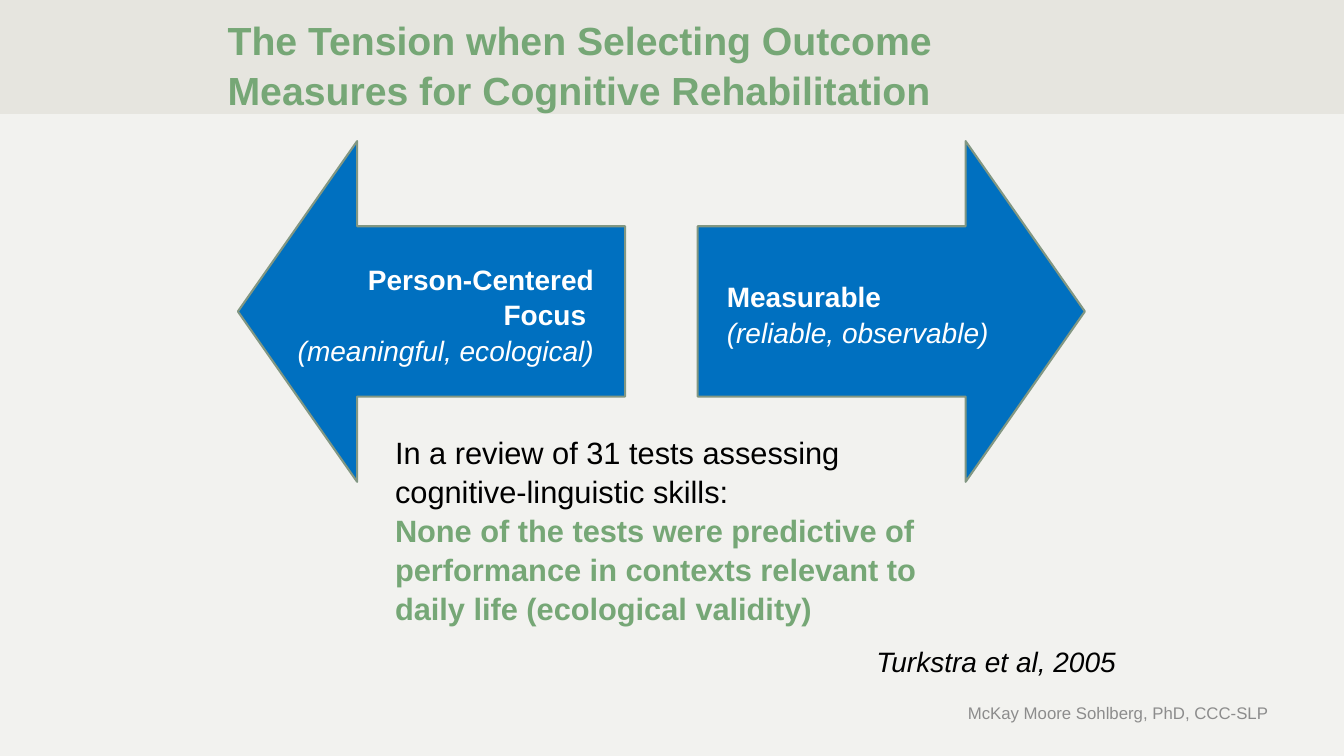
"""Build the slide on the tension between outcome measures in cognitive rehabilitation."""
from pptx import Presentation
from pptx.dml.color import RGBColor
from pptx.enum import shapes, text
from pptx.util import Inches, Pt

PAPER = RGBColor(0xF2, 0xF2, 0xEF)
BAND = RGBColor(0xE6, 0xE5, 0xDF)
GREEN = RGBColor(0x76, 0xA7, 0x76)
BLUE = RGBColor(0x00, 0x70, 0xC0)
EDGE = RGBColor(0x82, 0x97, 0x82)
GRAY = RGBColor(0x8C, 0x8C, 0x8C)
WHITE = RGBColor(0xFF, 0xFF, 0xFF)
BLACK = RGBColor(0x00, 0x00, 0x00)

LEFT, CENTER, RIGHT = text.PP_ALIGN.LEFT, text.PP_ALIGN.CENTER, text.PP_ALIGN.RIGHT
TOP, MIDDLE, BOTTOM = text.MSO_ANCHOR.TOP, text.MSO_ANCHOR.MIDDLE, text.MSO_ANCHOR.BOTTOM

SLIDE_W, SLIDE_H, BAND_H = 13.33, 7.5, 1.13
ARROW_TOP, ARROW_W, ARROW_H = 1.4, 3.84, 3.38
ARROWS = [
    (shapes.MSO_SHAPE.LEFT_ARROW, 2.36),
    (shapes.MSO_SHAPE.RIGHT_ARROW, 6.92),
]

# box, alignment, anchor, size, lines of (words, colour, bold, italic)
TEXTS = [
    ((7.82, 6.84, 4.86, 0.45), RIGHT, MIDDLE, 12, [
        ("McKay Moore Sohlberg, PhD, CCC-SLP", GRAY, False, False)]),
    ((2.16, 0.25, 7.8, 0.92), LEFT, BOTTOM, 28, [
        ("The Tension when Selecting Outcome Measures for Cognitive Rehabilitation",
         GREEN, True, False)]),
    ((2.85, 2.54, 3.14, 1.11), RIGHT, TOP, 20, [
        ("Person-Centered Focus ", WHITE, True, False),
        ("(meaningful, ecological)", WHITE, False, True)]),
    ((7.11, 2.71, 2.91, 0.77), LEFT, TOP, 20, [
        ("Measurable", WHITE, True, False),
        ("(reliable, observable)", WHITE, False, True)]),
    ((3.82, 4.24, 5.5, 1.95), LEFT, TOP, 22, [
        ("In a review of 31 tests assessing cognitive-linguistic skills:",
         BLACK, False, False),
        ("None of the tests were predictive of performance in contexts relevant to "
         "daily life (ecological validity)", GREEN, True, False)]),
    ((8.39, 6.33, 2.98, 0.44), CENTER, TOP, 20, [
        ("Turkstra et al, 2005", BLACK, False, True)]),
]


def add_shape(s, kind, box, fill):
    sp = s.shapes.add_shape(kind, *map(Inches, box))
    sp.shadow.inherit = False
    sp.fill.solid()
    sp.fill.fore_color.rgb = fill
    return sp


def add_text(s, box, align, anchor, size, lines):
    tf = s.shapes.add_textbox(*map(Inches, box)).text_frame
    tf.word_wrap = True
    tf.vertical_anchor = anchor
    for i, (words, color, bold, italic) in enumerate(lines):
        p = tf.add_paragraph() if i else tf.paragraphs[0]
        p.text = words
        p.alignment = align
        p.line_spacing = 1.05
        p.font.name = "Arial"
        p.font.size = Pt(size)
        p.font.bold = bold
        p.font.italic = italic
        p.font.color.rgb = color


def main():
    prs = Presentation()
    prs.slide_width, prs.slide_height = Inches(SLIDE_W), Inches(SLIDE_H)
    s = prs.slides.add_slide(prs.slide_layouts[6])
    s.background.fill.solid()
    s.background.fill.fore_color.rgb = PAPER

    band = add_shape(s, shapes.MSO_SHAPE.RECTANGLE, (0, 0, SLIDE_W, BAND_H), BAND)
    band.line.fill.background()
    for kind, left in ARROWS:
        arrow = add_shape(s, kind, (left, ARROW_TOP, ARROW_W, ARROW_H), BLUE)
        arrow.adjustments[0], arrow.adjustments[1] = 0.5, 0.35
        arrow.line.color.rgb = EDGE
        arrow.line.width = Pt(1.5)
    for item in TEXTS:
        add_text(s, *item)
    prs.save("out.pptx")


if __name__ == "__main__":
    main()
